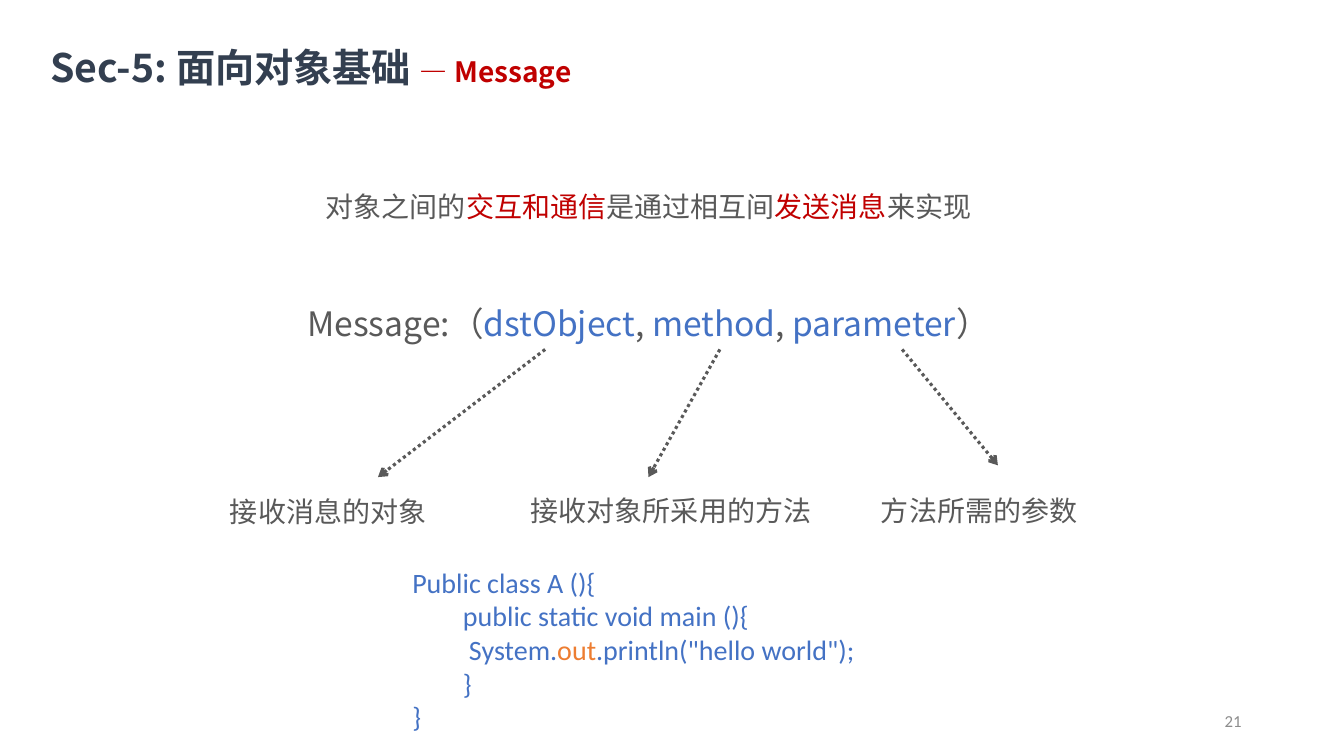
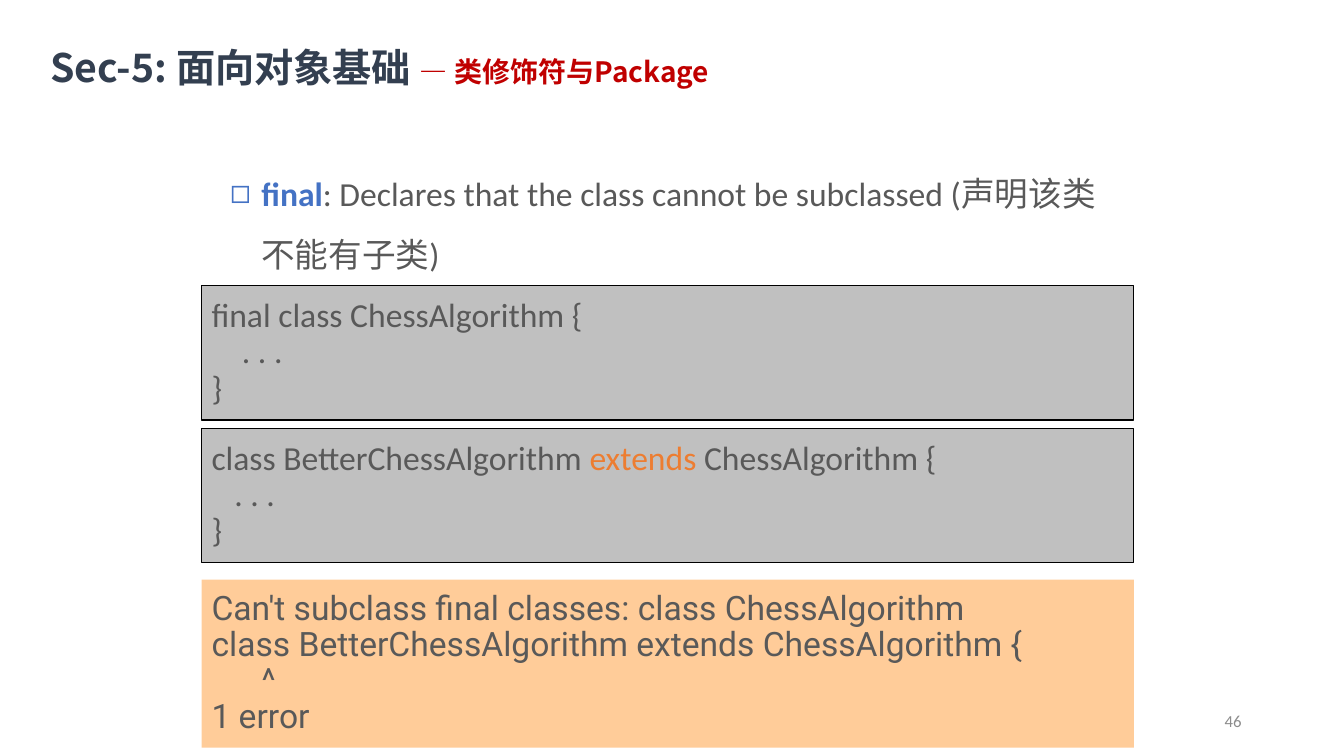
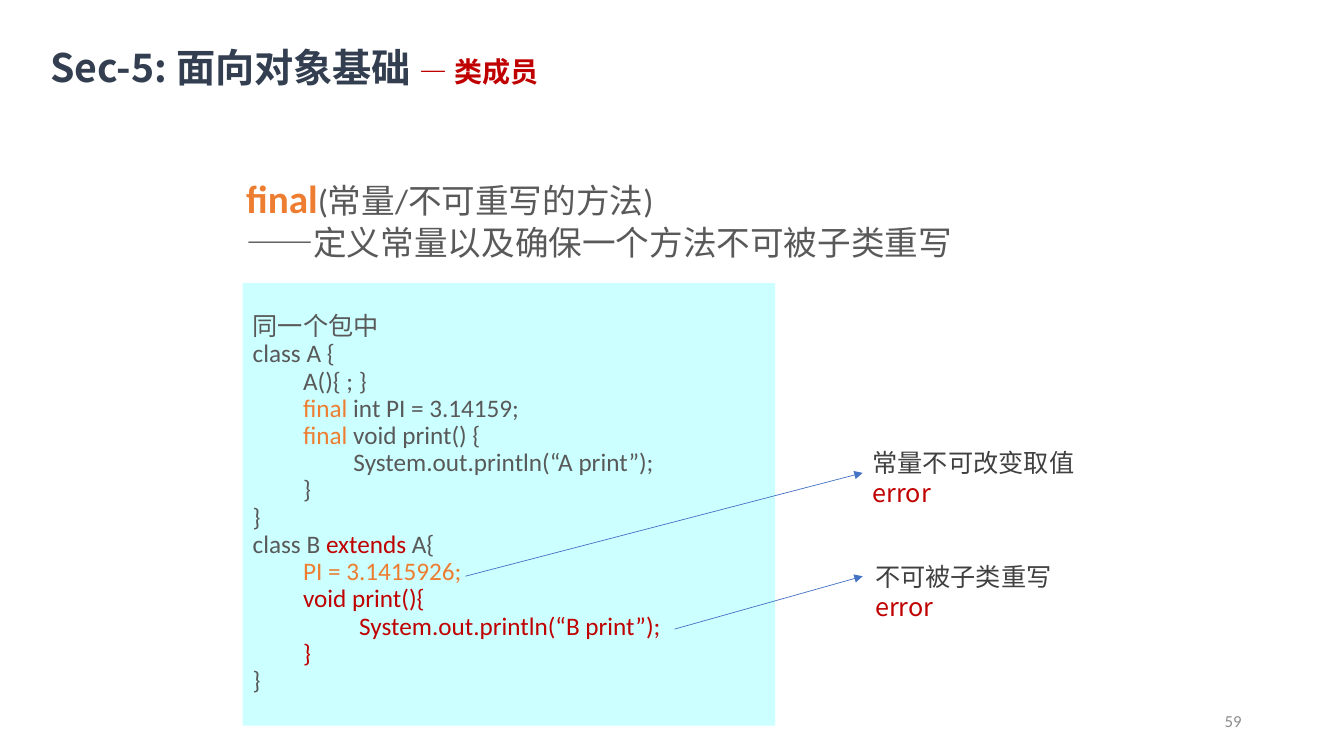
from lxml.etree import SubElement
from pptx import Presentation
from pptx.dml.color import RGBColor as RGB
from pptx.enum.dml import MSO_LINE
from pptx.enum.shapes import MSO_CONNECTOR as CONN, MSO_SHAPE as SHAPE
from pptx.enum.text import MSO_ANCHOR as ANCHOR, MSO_AUTO_SIZE as AUTO, PP_ALIGN as ALIGN
from pptx.oxml.ns import qn
from pptx.util import Emu, Inches, Pt


class Theme:
    navy, red, blue, orange = "333F50", "C00000", "4472C4", "ED7D31"
    gray, dark, pale, black = "595959", "404040", "8C8C8C", "000000"
    silver, peach, cyan = "C0C0C0", "FFCC99", "CCFFFF"
    cjk, latin, mono = "Noto Sans CJK SC", "Calibri", "Roboto"
    title, big, large, text, note, number = 28, 28, 24, 20, 18, 12


T = Theme
COLS, ROWS = 160, 90

prs = Presentation()
prs.slide_width, prs.slide_height = Inches(13.33), Inches(7.5)


def grid(x, y, *rest):
    cw, rh = prs.slide_width / COLS, prs.slide_height / ROWS
    return [Emu(round(v * (rh if i % 2 else cw))) for i, v in enumerate((x, y, *rest))]


def write(shape, lines, font, size, align=ALIGN.LEFT, anchor=ANCHOR.TOP, spacing=1.0, bullet=None):
    tf = shape.text_frame
    tf.word_wrap, tf.auto_size, tf.vertical_anchor = True, AUTO.NONE, anchor
    for i, line in enumerate(lines):
        p = tf.paragraphs[0] if i == 0 else tf.add_paragraph()
        pPr = p._p.get_or_add_pPr()
        hang = Inches(0.31) if bullet else 0
        pPr.set("marL", str(hang))
        pPr.set("indent", str(-hang))
        if bullet:
            SubElement(pPr, qn("a:buChar")).set("char", bullet)
        else:
            SubElement(pPr, qn("a:buNone"))
        tabs = SubElement(pPr, qn("a:tabLst"))
        for stop in (0.5, 1):
            tab = SubElement(tabs, qn("a:tab"))
            tab.set("pos", str(Inches(stop)))
            tab.set("algn", "l")
        p.alignment, p.line_spacing, p.space_before = align, spacing, Pt(0)
        for text, color, *style in line:
            r = p.add_run()
            r.text = text
            r.font.name = font
            r.font.size = Pt(style[0] if style else size)
            r.font.bold = len(style) > 1
            r.font.color.rgb = RGB.from_string(color)
            SubElement(r._r.get_or_add_rPr(), qn("a:ea")).set("typeface", T.cjk)


layout = prs.slide_layouts[1]
title = layout.placeholders[0]
title.left, title.top, title.width, title.height = grid(6, 5, 88.2, 5.8)
tf = title.text_frame
tf.margin_left = tf.margin_right = tf.margin_bottom = 0
tf.margin_top = Inches(0.01)

leads = [
    ("Message", "21", (25.2, 22, 104, 5.3), T.cjk, T.text, ALIGN.CENTER, 1.0, None,
     [[("对象之间的", T.gray), ("交互和通信", T.red), ("是通过相互间", T.gray),
       ("发送消息", T.red), ("来实现", T.gray)]]),
    ("类修饰符与Package", "46", (26.2, 17.6, 106.8, 15), T.latin, T.large, ALIGN.LEFT, 1.5, "◻",
     [[("final", T.blue, T.large, "bold"),
       (": Declares that the class cannot be subclassed (声明该类不能有子类)", T.gray)]]),
    ("类成员", "59", (28.1, 20.2, 103, 11.8), T.latin, T.large, ALIGN.LEFT, 1.0, None,
     [[("final", T.orange, T.big, "bold"), ("(常量/不可重写的方法)", T.gray)],
      [("——定义常量以及确保一个方法不可被子类重写", T.gray)]]),
]
slides = []
for topic, number, area, font, size, align, spacing, bullet, lines in leads:
    s = prs.slides.add_slide(layout)
    slides.append(s)
    write(s.shapes.title, [[("Sec-5: 面向对象基础 ", T.navy, T.title, "bold"),
                            ("— " + topic, T.red, T.text, "bold")]], T.cjk, T.title)
    body = s.placeholders[1]
    body.left, body.top, body.width, body.height = grid(*area)
    write(body, lines, font, size, align, spacing=spacing, bullet=bullet)
    write(s.shapes.add_textbox(*grid(113, 83.4, 36, 4.8)), [[(number, T.pale)]],
          T.latin, T.number, ALIGN.RIGHT, ANCHOR.MIDDLE)
message, modifier, member = slides

panels = [
    (modifier, (24, 34, 111, 16), T.silver, T.black, T.latin, T.large,
     [[("final class ChessAlgorithm {", T.gray)], [("    . . .", T.gray)], [("}", T.gray)]]),
    (modifier, (24, 51, 111, 16), T.silver, T.black, T.latin, T.large,
     [[("class BetterChessAlgorithm ", T.gray), ("extends ", T.orange), ("ChessAlgorithm {", T.gray)],
      [("   . . .", T.gray)], [("}", T.gray)]]),
    (modifier, (24, 69, 111, 20), T.peach, None, T.mono, T.large,
     [[("Can't subclass final classes: class ChessAlgorithm", T.gray)],
      [("class BetterChessAlgorithm extends ChessAlgorithm {", T.gray)],
      [("      ^", T.gray)], [("1 error", T.gray)]]),
    (member, (28.9, 33.7, 63.4, 52.7), T.cyan, None, T.latin, T.note,
     [[("同一个包中", T.gray)],
      [("class A {", T.gray)],
      [("\tA(){ ; }", T.gray)],
      [("\t", T.gray), ("final", T.orange), (" int PI = 3.14159;", T.gray)],
      [("\t", T.gray), ("final", T.orange), (" void print() {", T.gray)],
      [("\t\tSystem.out.println(“A print”);", T.gray)],
      [("\t}", T.gray)],
      [("}", T.gray)],
      [("class B ", T.gray), ("extends ", T.red), ("A{", T.gray)],
      [("\tPI = 3.1415926;", T.orange)],
      [("\tvoid print(){", T.red)],
      [("\t\t System.out.println(“B print”);", T.red)],
      [("\t}", T.red)],
      [("}", T.gray)]]),
]
for s, area, fill, border, font, size, lines in panels:
    sp = s.shapes.add_shape(SHAPE.RECTANGLE, *grid(*area))
    sp.shadow.inherit = False
    sp.fill.solid()
    sp.fill.fore_color.rgb = RGB.from_string(fill)
    if border:
        sp.line.color.rgb = RGB.from_string(border)
        sp.line.width = Pt(0.75)
    else:
        sp.line.fill.background()
    write(sp, lines, font, size, anchor=ANCHOR.MIDDLE, spacing=0.9)

texts = [
    (message, (25.2, 35.5, 104, 6), T.cjk, T.large, ALIGN.CENTER,
     [[("Message:（", T.gray), ("dstObject", T.blue), (", ", T.gray), ("method", T.blue),
       (", ", T.gray), ("parameter", T.blue), ("）", T.gray)]]),
    (message, (26.2, 58.3, 30.2, 5.3), T.cjk, T.text, ALIGN.LEFT, [[("接收消息的对象", T.gray)]]),
    (message, (62, 58.2, 36.8, 5.3), T.cjk, T.text, ALIGN.LEFT, [[("接收对象所采用的方法", T.gray)]]),
    (message, (103.7, 58.2, 36.8, 5.3), T.cjk, T.text, ALIGN.LEFT, [[("方法所需的参数", T.gray)]]),
    (message, (47.9, 66.7, 65.2, 21.4), T.latin, T.text, ALIGN.LEFT,
     [[("Public class A (){", T.blue)],
      [("        public static void main (){", T.blue)],
      [("\t System.", T.blue), ("out", T.orange), (".println(\"hello world\");", T.blue)],
      [("        }", T.blue)],
      [("}", T.blue)]]),
    (member, (102.7, 52.6, 31.3, 8.5), T.cjk, T.note, ALIGN.LEFT,
     [[("常量不可改变取值", T.dark)], [("error", T.red)]]),
    (member, (103, 66.2, 31.3, 8.5), T.cjk, T.note, ALIGN.LEFT,
     [[("不可被子类重写", T.dark)], [("error", T.red)]]),
]
for s, area, font, size, align, lines in texts:
    write(s.shapes.add_textbox(*grid(*area)), lines, font, size, align)

dotted = (T.gray, 2.25, "arrow", MSO_LINE.ROUND_DOT)
thin = (T.blue, 0.5, "triangle", MSO_LINE.SOLID)
arrows = [
    (message, (64.9, 41.6, 45, 56.8), dotted),
    (message, (85.7, 41.6, 77.2, 56.8), dotted),
    (message, (107.4, 41.6, 118.8, 55.4), dotted),
    (member, (55.4, 68.6, 102.7, 56.3), thin),
    (member, (80.3, 74.9, 102.7, 68.6), thin),
]
for s, ends, (color, width, head, dash) in arrows:
    cn = s.shapes.add_connector(CONN.STRAIGHT, *grid(*ends))
    cn.line.color.rgb = RGB.from_string(color)
    cn.line.width = Pt(width)
    cn.line.dash_style = dash
    SubElement(cn.line._get_or_add_ln(), qn("a:tailEnd")).set("type", head)
    SubElement(cn._element.spPr, qn("a:effectLst"))

prs.save("out.pptx")
